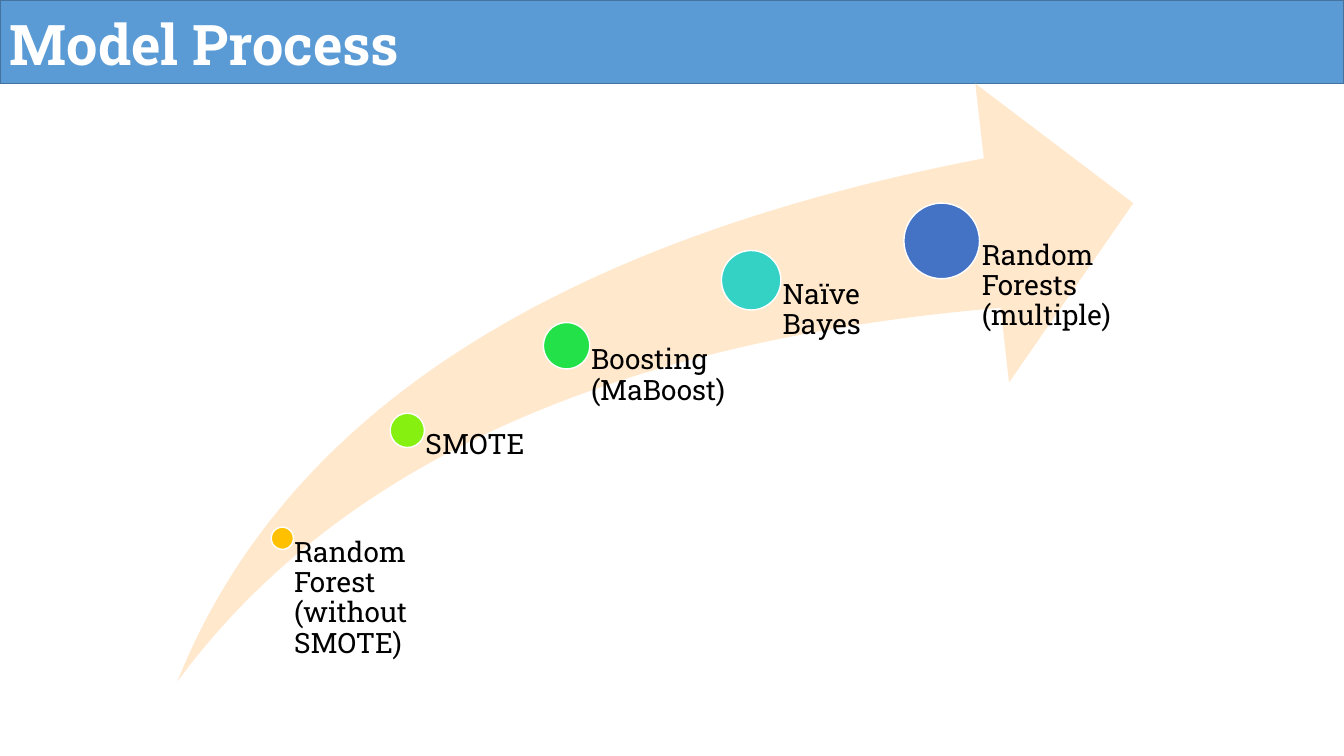
"""Build the Model Process slide: stages of growing size along a rising arrow."""
from dataclasses import dataclass

from pptx import Presentation
from pptx.dml.color import RGBColor
from pptx.enum import shapes, text
from pptx.util import Inches, Pt


@dataclass(frozen=True)
class Theme:
    font: str = "Roboto Slab"
    title_size: float = 40
    label_size: float = 20
    line_width: float = 1
    banner: str = "5B9BD5"
    banner_edge: str = "43739E"
    arrow: str = "FFE8CC"
    white: str = "FFFFFF"
    black: str = "000000"


@dataclass(frozen=True)
class Stage:
    label: str
    center_x: float
    center_y: float
    diameter: float
    label_width: float
    color: str


THEME = Theme()
SLIDE_WIDTH, SLIDE_HEIGHT = 13.33, 7.5
BANNER_HEIGHT = 0.83
ARROW_BOTTOM = 6.76
INSET_RATIO = 0.53
STAGES = (
    Stage("Random Forest (without SMOTE)", 2.8, 5.34, 0.22, 1.24, "FFC000"),
    Stage("SMOTE", 4.04, 4.27, 0.34, 1.57, "86F011"),
    Stage("Boosting (MaBoost)", 5.62, 3.43, 0.46, 1.83, "23E148"),
    Stage("Naïve Bayes", 7.45, 2.78, 0.59, 1.9, "33D2C5"),
    Stage("Random Forests (multiple)", 9.34, 2.39, 0.75, 1.9, "4472C4"),
)


def add_figure(slide, kind, left: float, top: float, width: float, height: float,
               fill: str, edge: str | None = None):
    """Add a filled preset shape, outlined only if an edge colour is given."""
    figure = slide.shapes.add_shape(
        kind, Inches(left), Inches(top), Inches(width), Inches(height))
    figure.shadow.inherit = False
    figure.fill.solid()
    figure.fill.fore_color.rgb = RGBColor.from_string(fill)
    if edge:
        figure.line.color.rgb = RGBColor.from_string(edge)
        figure.line.width = Pt(THEME.line_width)
    else:
        figure.line.fill.background()
    return figure


def add_words(slide, words: str, left: float, top: float, width: float, height: float,
              size: float, color: str, bold: bool = False):
    """Add a wrapping text box and return its text frame."""
    frame = slide.shapes.add_textbox(
        Inches(left), Inches(top), Inches(width), Inches(height)).text_frame
    frame.word_wrap = True
    paragraph = frame.paragraphs[0]
    paragraph.text = words
    paragraph.font.name = THEME.font
    paragraph.font.size = Pt(size)
    paragraph.font.bold = bold
    paragraph.font.color.rgb = RGBColor.from_string(color)
    return frame


def add_banner(slide) -> None:
    """Add the title across the top."""
    add_figure(slide, shapes.MSO_SHAPE.RECTANGLE, 0, 0, SLIDE_WIDTH, BANNER_HEIGHT,
               THEME.banner, THEME.banner_edge)
    title = add_words(slide, "Model Process", 0, 0.05, SLIDE_WIDTH, 0.77,
                      THEME.title_size, THEME.white, bold=True)
    title.auto_size = text.MSO_AUTO_SIZE.SHAPE_TO_FIT_TEXT


def add_arrow(slide) -> None:
    """Add the rising arrow behind the stages."""
    arrow = add_figure(slide, shapes.MSO_SHAPE.SWOOSH_ARROW, 1.76, BANNER_HEIGHT,
                       9.48, ARROW_BOTTOM - BANNER_HEIGHT, THEME.arrow)
    arrow.adjustments[0] = 0.25
    arrow.adjustments[1] = 0.25


def add_stage(slide, stage: Stage) -> None:
    """Add a dot and the label that hangs from its centre."""
    radius = stage.diameter / 2
    add_figure(slide, shapes.MSO_SHAPE.OVAL, stage.center_x - radius,
               stage.center_y - radius, stage.diameter, stage.diameter,
               stage.color, THEME.white)
    label = add_words(slide, stage.label, stage.center_x, stage.center_y,
                      stage.label_width, ARROW_BOTTOM - stage.center_y,
                      THEME.label_size, THEME.black)
    label.margin_left = Inches(stage.diameter * INSET_RATIO)
    label.margin_top = label.margin_right = label.margin_bottom = 0
    label.paragraphs[0].line_spacing = 0.9


def main() -> None:
    """Draw the slide and save it."""
    deck = Presentation()
    deck.slide_width, deck.slide_height = Inches(SLIDE_WIDTH), Inches(SLIDE_HEIGHT)
    slide = deck.slides.add_slide(deck.slide_layouts[6])
    add_banner(slide)
    add_arrow(slide)
    for stage in STAGES:
        add_stage(slide, stage)
    deck.save("out.pptx")


if __name__ == "__main__":
    main()
